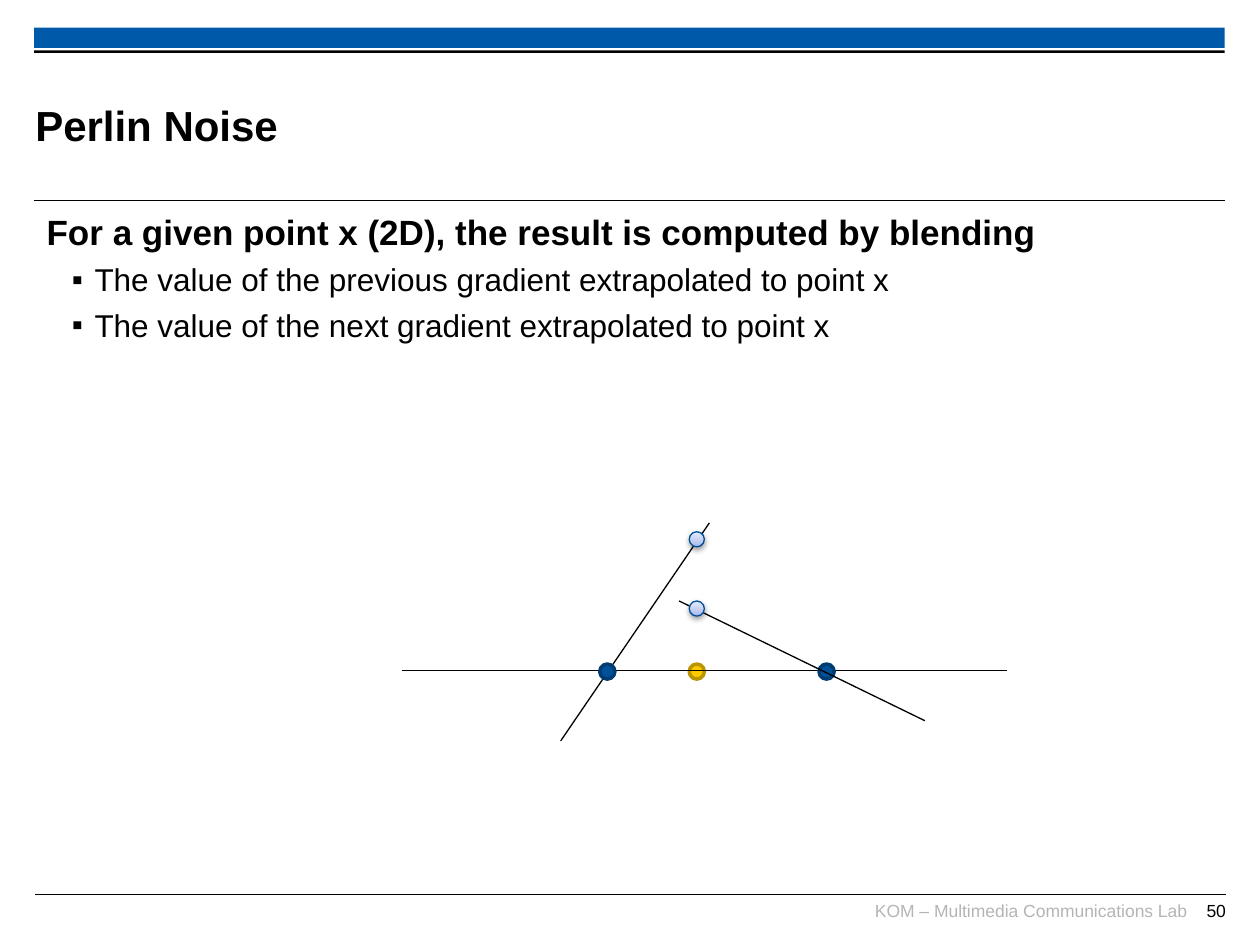
import pptx
import pptx.util
import pptx.dml.color
import pptx.enum.shapes
import pptx.enum.text
import pptx.oxml
import pptx.oxml.ns
from pptx.util import Inches

FONT = "Arial"
BLACK = "000000"
ALIGN = pptx.enum.text.PP_ALIGN
NAMESPACE = pptx.oxml.ns.nsdecls("a")


def color(hex_string):
    return pptx.dml.color.RGBColor.from_string(hex_string)


def place(shape, box):
    shape.left, shape.top, shape.width, shape.height = map(Inches, box)


def prepare_frame(shape, inset_x=0, inset_y=0):
    frame = shape.text_frame
    frame.word_wrap = True
    frame.auto_size = pptx.enum.text.MSO_AUTO_SIZE.NONE
    frame.margin_left = frame.margin_right = Inches(inset_x)
    frame.margin_top = frame.margin_bottom = Inches(inset_y)
    frame.vertical_anchor = pptx.enum.text.MSO_ANCHOR.TOP
    return frame


def add_run(paragraph, text, size, hex_string=BLACK, bold=False):
    run = paragraph.add_run()
    run.text = text
    run.font.name = FONT
    run.font.size = pptx.util.Pt(size)
    run.font.bold = bold
    run.font.color.rgb = color(hex_string)


def set_bullet(paragraph, margin, indent, character=None):
    properties = paragraph._p.get_or_add_pPr()
    properties.set("marL", str(Inches(margin)))
    properties.set("indent", str(Inches(indent)))
    bullet = f'<a:buChar {NAMESPACE} char="{character}"/>' if character else f"<a:buNone {NAMESPACE}/>"
    properties.append(pptx.oxml.parse_xml(bullet))


def add_line(slide, start, end, width=0.75):
    line = slide.shapes.add_connector(
        pptx.enum.shapes.MSO_CONNECTOR.STRAIGHT, *map(Inches, (*start, *end)))
    line.line.width = pptx.util.Pt(width)
    line.line.color.rgb = color(BLACK)
    line._element.spPr.append(pptx.oxml.parse_xml(f"<a:effectLst {NAMESPACE}/>"))


def add_filled(slide, kind, box, fill):
    shape = slide.shapes.add_shape(kind, *map(Inches, box))
    shape.shadow.inherit = False
    shape.fill.solid()
    shape.fill.fore_color.rgb = color(fill)
    shape.line.fill.background()
    return shape


def add_label(slide, box, text, hex_string):
    frame = prepare_frame(slide.shapes.add_textbox(*map(Inches, box)))
    frame.paragraphs[0].alignment = ALIGN.RIGHT
    add_run(frame.paragraphs[0], text, 10, hex_string)


def add_header(slide, box):
    left, top, width, height = box
    rectangle = pptx.enum.shapes.MSO_SHAPE.RECTANGLE
    add_filled(slide, rectangle, (left, top, width, 0.16), "005AA9")
    add_filled(slide, rectangle, (left, top + 0.18, width, 0.02), BLACK)
    add_line(slide, (left, top + height), (left + width, top + height), 0.6)
    # Title
    title = slide.shapes.title
    place(title, (left + 0.01, top + 0.31, 7.52, 0.92))
    frame = prepare_frame(title)
    frame.vertical_anchor = pptx.enum.text.MSO_ANCHOR.MIDDLE
    frame.paragraphs[0].alignment = ALIGN.LEFT
    add_run(frame.paragraphs[0], "Perlin Noise", 24, bold=True)


def add_body(slide, box, heading, points):
    body = slide.placeholders[1]
    place(body, box)
    frame = prepare_frame(body, 0.1, 0.05)
    first = frame.paragraphs[0]
    set_bullet(first, 0.2, -0.2)
    first.space_before = pptx.util.Pt(0)
    add_run(first, heading, 20, bold=True)
    for point in points:
        paragraph = frame.add_paragraph()
        paragraph.level = 1
        set_bullet(paragraph, 0.38, -0.18, "▪")
        paragraph.space_before = pptx.util.Pt(4.5)
        add_run(paragraph, point, 18)


def add_dot(slide, center, fill, outline, width):
    size = 0.12
    box = (center[0] - size / 2, center[1] - size / 2, size, size)
    dot = add_filled(slide, pptx.enum.shapes.MSO_SHAPE.OVAL, box, fill)
    dot.line.color.rgb = color(outline)
    dot.line.width = pptx.util.Pt(width)
    return dot


def add_glossy_dot(slide, center):
    dot = add_dot(slide, center, "C1CCF0", "004F96", 0.75)
    properties = dot._element.spPr
    stops = "".join(
        f'<a:gs pos="{position * 1000}"><a:srgbClr val="{value}"/></a:gs>'
        for position, value in ((0, "A5B6EB"), (35, "C1CCF0"), (100, "E7EBFA")))
    gradient = pptx.oxml.parse_xml(
        f'<a:gradFill {NAMESPACE} rotWithShape="1"><a:gsLst>{stops}</a:gsLst>'
        '<a:lin ang="16200000" scaled="0"/></a:gradFill>')
    properties.replace(properties.find(pptx.oxml.ns.qn("a:solidFill")), gradient)
    shadow = pptx.oxml.parse_xml(
        f'<a:effectLst {NAMESPACE}><a:outerShdw blurRad="40000" dist="20000" '
        'dir="5400000" rotWithShape="0"><a:srgbClr val="000000">'
        '<a:alpha val="38000"/></a:srgbClr></a:outerShdw></a:effectLst>')
    properties.replace(properties.find(pptx.oxml.ns.qn("a:effectLst")), shadow)


def add_diagram(slide, box):
    left, top, width, height = box
    axis, sample = top + 1.17, left + 2.34
    dots_y = axis + 0.01
    # Sample point, axis and next grid point
    add_dot(slide, (sample, dots_y), "FDCA00", "BB9500", 2)
    add_line(slide, (left, axis), (left + width, axis))
    add_dot(slide, (left + 3.37, dots_y), "005199", "003C71", 2)
    # Gradients
    add_line(slide, (left + 1.26, top + height), (left + 2.44, top))
    add_line(slide, (left + 2.2, top + 0.62), (left + 4.15, top + 1.57))
    # Extrapolated values
    for offset in (0.68, 0.13):
        add_glossy_dot(slide, (sample, top + offset))
    # Previous grid point
    add_dot(slide, (left + 1.63, dots_y), "005199", "003C71", 2)


def add_footer(slide, box):
    left, top, width, height = box
    right = left + width
    add_line(slide, (left, top), (right, top), 0.6)
    add_label(slide, (right - 2.84, top + 0.04, 2.53, height),
              "KOM – Multimedia Communications Lab", "B5B5B5")
    add_label(slide, (right - 0.43, top + 0.04, 0.43, height), "50", BLACK)


def main():
    presentation = pptx.Presentation()
    presentation.slide_width, presentation.slide_height = Inches(10), Inches(7.5)
    slide = presentation.slides.add_slide(presentation.slide_layouts[1])
    add_header(slide, (0.27, 0.22, 9.45, 1.37))
    add_body(slide, (0.27, 1.62, 9.45, 5.43),
             "For a given point x (2D), the result is computed by blending",
             ["The value of the previous gradient extrapolated to point x",
              "The value of the next gradient extrapolated to point x"])
    add_diagram(slide, (3.19, 4.15, 4.8, 1.73))
    add_footer(slide, (0.28, 7.1, 9.45, 0.25))
    presentation.save("out.pptx")


if __name__ == "__main__":
    main()
